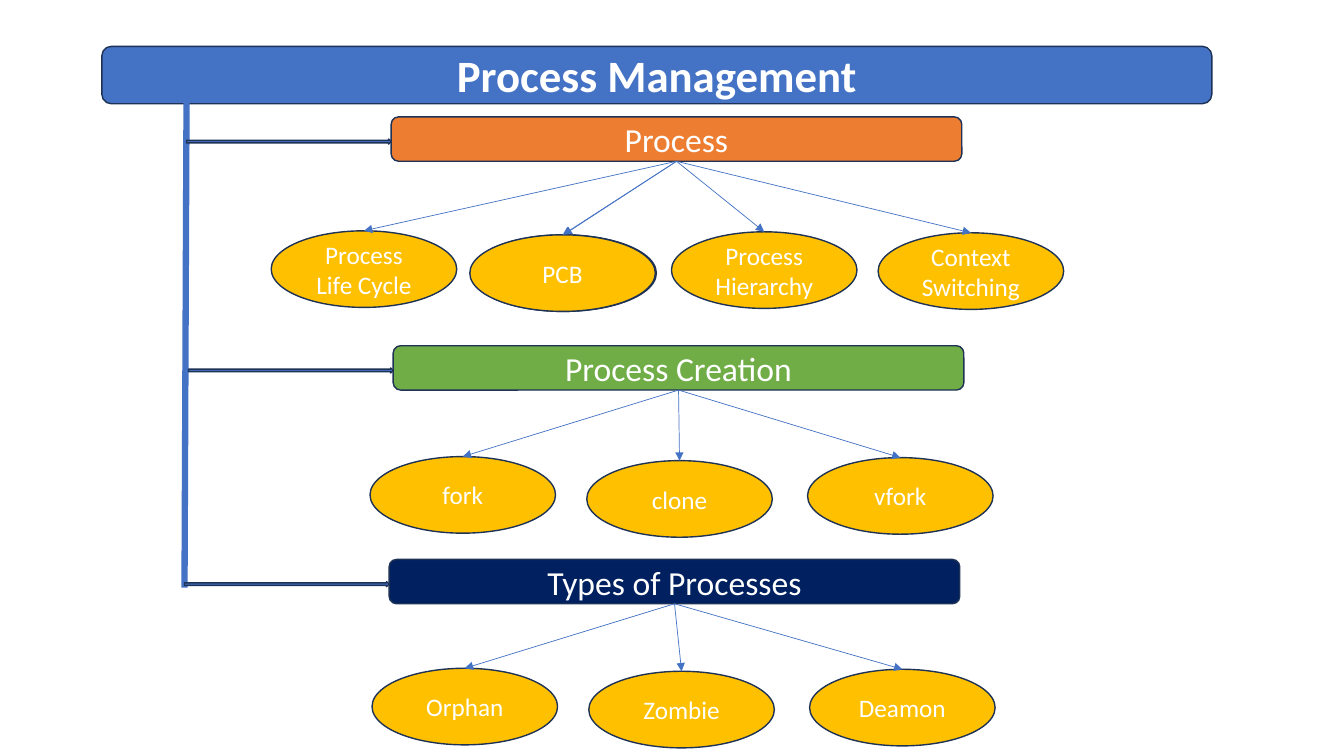
from lxml import etree
from pptx import Presentation
from pptx.dml.color import RGBColor
from pptx.enum import shapes, text
from pptx.oxml import ns
from pptx.util import Inches, Pt

BLUE, OUTLINE, GOLD, WHITE = "4472C4", "1E3256", "FFC000", "FFFFFF"
BAR_WIDTH, BAR_HEIGHT = 5.66, 0.44
OVAL_WIDTH, OVAL_HEIGHT = 1.84, 0.76
ARROW_LENGTH, ARROW_HEIGHT = 2.03, 0.05

# Title, colour, left and top of each bar, then its topics with
# their offsets from the bar's left and top.
BRANCHES = [
    ("Process", "ED7D31", 3.88, 1.16, [
        ("Process Life Cycle", -1.19, 1.13),
        ("PCB", 0.79, 1.17),
        ("PCB", 0.78, 1.17),
        ("Process Hierarchy", 2.78, 1.14),
        ("Context Switching", 4.83, 1.15)]),
    ("Process Creation", "70AD47", 3.9, 3.43, [
        ("fork", -0.23, 1.1),
        ("clone", 1.92, 1.14),
        ("vfork", 4.11, 1.11)]),
    ("Types of Processes", "002060", 3.86, 5.55, [
        ("Orphan", -0.17, 1.08),
        ("Zombie", 1.98, 1.11),
        ("Deamon", 4.17, 1.09)]),
]


def colour(value):
    return RGBColor.from_string(value)


def add_block(page, kind, box, fill, label="", size=18, bold=False):
    block = page.shapes.add_shape(kind, *map(Inches, box))
    block.shadow.inherit = False
    block.fill.solid()
    block.fill.fore_color.rgb = colour(fill)
    block.line.color.rgb = colour(OUTLINE)
    block.line.width = Pt(1)
    if label:
        frame = block.text_frame
        frame.word_wrap = True
        frame.vertical_anchor = text.MSO_ANCHOR.MIDDLE
        para = frame.paragraphs[0]
        para.alignment = text.PP_ALIGN.CENTER
        span = para.add_run()
        span.text = label
        span.font.name = "Calibri"
        span.font.size = Pt(size)
        span.font.bold = bold
        span.font.color.rgb = colour(WHITE)
    return block


def add_line(page, start, end, width):
    line = page.shapes.add_connector(
        shapes.MSO_CONNECTOR.STRAIGHT, *map(Inches, start + end))
    line.line.color.rgb = colour(BLUE)
    line.line.width = Pt(width)
    etree.SubElement(line._element.spPr, ns.qn("a:effectLst"))
    return line


def add_link(page, parent, child):
    """Join a bar's bottom to a topic's top with an arrow."""
    link = add_line(page, (0, 0), (0, 0), 0.5)
    link.begin_connect(parent, 2)
    link.end_connect(child, 0)
    etree.SubElement(link.line._get_or_add_ln(), ns.qn("a:tailEnd"), type="triangle")


def add_header(page, box):
    """Add the title bar and the trunk that hangs from it."""
    add_block(page, shapes.MSO_SHAPE.ROUNDED_RECTANGLE, box, BLUE,
              "Process Management", 32, True)
    left, top = box[:2]
    add_line(page, (left + 0.84, top + 0.54), (left + 0.82, top + 5.37), 4.5)


def add_branch(page, title, fill, left, top, topics):
    add_block(page, shapes.MSO_SHAPE.RIGHT_ARROW,
              (left - ARROW_LENGTH, top + 0.22, ARROW_LENGTH, ARROW_HEIGHT), BLUE)
    bar = add_block(page, shapes.MSO_SHAPE.ROUNDED_RECTANGLE,
                    (left, top, BAR_WIDTH, BAR_HEIGHT), fill, title, 24)
    for label, across, down in topics:
        oval = add_block(page, shapes.MSO_SHAPE.OVAL,
                         (left + across, top + down, OVAL_WIDTH, OVAL_HEIGHT), GOLD, label)
        add_link(page, bar, oval)


def main():
    deck = Presentation()
    deck.slide_width, deck.slide_height = Inches(13.33), Inches(7.5)
    page = deck.slides.add_slide(deck.slide_layouts[6])
    add_header(page, (1.01, 0.46, 11.01, 0.57))
    for branch in BRANCHES:
        add_branch(page, *branch)
    deck.save("out.pptx")


if __name__ == "__main__":
    main()
